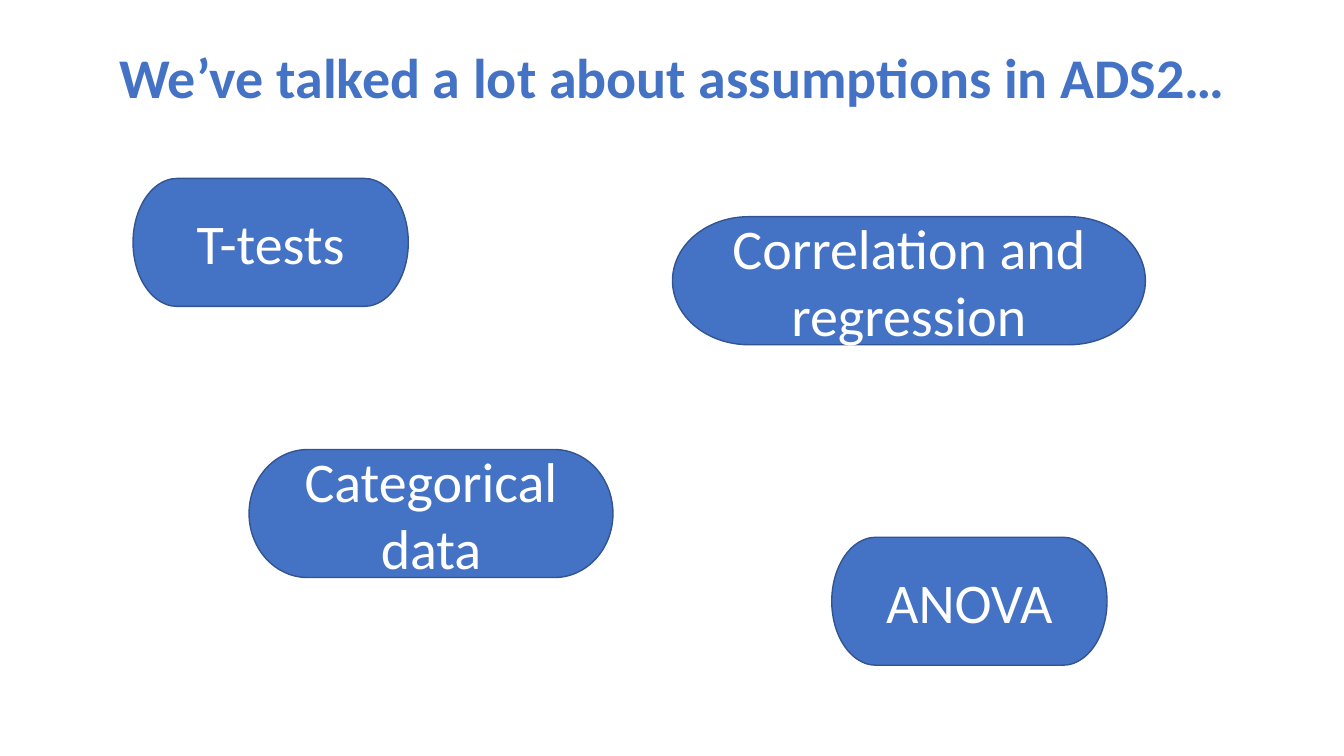
import pptx
import pptx.util
import pptx.dml.color
import pptx.enum.shapes
import pptx.enum.text

Inches = pptx.util.Inches
BLUE = pptx.dml.color.RGBColor(0x44, 0x72, 0xC4)
DARK_BLUE = pptx.dml.color.RGBColor(0x32, 0x54, 0x91)
WHITE = pptx.dml.color.RGBColor(0xFF, 0xFF, 0xFF)

TOPIC_HEIGHT = 1.27
# Topic, left, top, width
TOPICS = [
    ("T-tests", 1.32, 1.77, 2.73),
    ("ANOVA", 8.25, 5.33, 2.73),
    ("Categorical data", 2.47, 4.46, 3.61),
    ("Correlation and regression", 6.67, 2.15, 4.69),
]


def write_text(frame, text, color, bold=False, line_spacing=None):
    frame.word_wrap = True
    frame.vertical_anchor = pptx.enum.text.MSO_ANCHOR.MIDDLE
    paragraph = frame.paragraphs[0]
    paragraph.alignment = pptx.enum.text.PP_ALIGN.CENTER
    paragraph.line_spacing = line_spacing
    run = paragraph.add_run()
    run.text = text
    text_format = {"name": "Calibri", "size": pptx.util.Pt(40), "bold": bold}
    for attribute, value in text_format.items():
        setattr(run.font, attribute, value)
    run.font.color.rgb = color


def add_heading(slide, left, top, width, height):
    heading = slide.shapes.add_textbox(
        Inches(left), Inches(top), Inches(width), Inches(height))
    write_text(heading.text_frame, "We’ve talked a lot about assumptions in ADS2…",
               BLUE, bold=True, line_spacing=0.9)


def add_topic(slide, label, left, top, width, height):
    topic = slide.shapes.add_shape(
        pptx.enum.shapes.MSO_SHAPE.FLOWCHART_TERMINATOR,
        Inches(left), Inches(top), Inches(width), Inches(height))
    topic.shadow.inherit = False
    topic.fill.solid()
    topic.fill.fore_color.rgb = BLUE
    topic.line.color.rgb = DARK_BLUE
    topic.line.width = pptx.util.Pt(1)
    write_text(topic.text_frame, label, WHITE)


def main():
    deck = pptx.Presentation()
    deck.slide_width = Inches(13.33)
    deck.slide_height = Inches(7.5)
    slide = deck.slides.add_slide(deck.slide_layouts[6])

    # Heading
    add_heading(slide, 0.83, 0, 11.67, 1.59)

    # Scattered topics
    for label, left, top, width in TOPICS:
        add_topic(slide, label, left, top, width, TOPIC_HEIGHT)

    deck.save("out.pptx")


if __name__ == "__main__":
    main()
